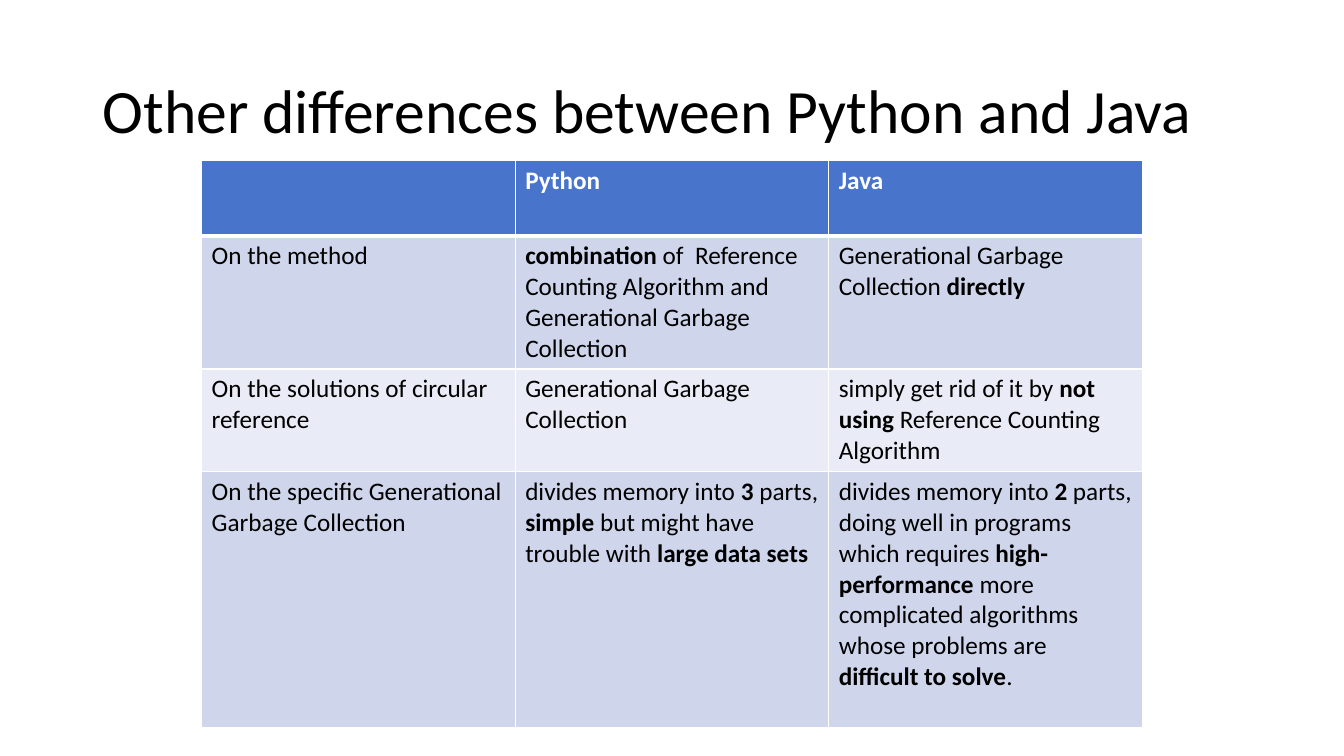
from dataclasses import dataclass

from lxml.etree import SubElement
from pptx import Presentation
from pptx.dml.color import RGBColor
from pptx.enum.text import MSO_ANCHOR
from pptx.oxml.ns import qn
from pptx.util import Inches, Pt


@dataclass(frozen=True)
class Theme:
    font: str = "Calibri"
    title_size: int = 44
    table_size: int = 18
    text: str = "000000"
    header_text: str = "FFFFFF"
    header_fill: str = "4874CB"
    band_fills: tuple = ("CFD6EC", "E9EBF6")
    border: str = "FFFFFF"


theme = Theme()


def write_text(text_frame, text, size, color, bold=False, line_spacing=None):
    for index, line in enumerate(text.split("\n")):
        paragraph = text_frame.paragraphs[0] if index == 0 else text_frame.add_paragraph()
        paragraph.line_spacing = line_spacing
        paragraph.font.size = Pt(size)
        for position, part in enumerate(line.split("**")):
            if part:
                run = paragraph.add_run()
                run.text = part
                run.font.name = theme.font
                run.font.size = Pt(size)
                run.font.bold = bold or position % 2 == 1
                run.font.color.rgb = RGBColor.from_string(color)


def add_borders(cell, color, bottom_width):
    properties = cell._tc.get_or_add_tcPr()
    for side, width in (("L", 1), ("R", 1), ("T", 1), ("B", bottom_width)):
        line = SubElement(properties, qn(f"a:ln{side}"), w=str(Pt(width)))
        fill = SubElement(line, qn("a:solidFill"))
        SubElement(fill, qn("a:srgbClr"), val=color)


presentation = Presentation()
presentation.slide_width = Inches(13.33)
presentation.slide_height = Inches(7.5)
slide = presentation.slides.add_slide(presentation.slide_layouts[6])

title = slide.shapes.add_textbox(Inches(0.92), Inches(0.4), Inches(11.5), Inches(1.45))
title.text_frame.word_wrap = True
title.text_frame.vertical_anchor = MSO_ANCHOR.MIDDLE
write_text(title.text_frame, "Other differences between Python and Java",
           size=theme.title_size, color=theme.text, line_spacing=0.9)

rows = [
    (0.75, ["", "Python", "Java"]),
    (1.32, [
        "On the method",
        "**combination** of  Reference Counting Algorithm and Generational Garbage Collection",
        "Generational Garbage Collection **directly**",
    ]),
    (1.02, [
        "On the solutions of circular reference",
        "Generational Garbage Collection",
        "simply get rid of it by **not using **Reference Counting Algorithm",
    ]),
    (2.54, [
        "On the specific Generational Garbage Collection",
        "divides memory into **3** parts, **simple** but might have trouble with **large data sets**",
        "divides memory into **2** parts, doing well in programs which requires "
        "**high-performance** more complicated algorithms whose problems are\n"
        "**difficult to solve**.",
    ]),
]

table_height = sum(height for height, texts in rows)
table = slide.shapes.add_table(
    len(rows), 3, Inches(2), Inches(1.59), Inches(9.33), Inches(table_height)).table
table.first_row = False
table.horz_banding = False
for column in table.columns:
    column.width = Inches(3.11)

for row_index, (height, texts) in enumerate(rows):
    table.rows[row_index].height = Inches(height)
    is_header = row_index == 0
    row_fill = theme.header_fill if is_header else theme.band_fills[(row_index - 1) % 2]
    for column_index, text in enumerate(texts):
        cell = table.cell(row_index, column_index)
        add_borders(cell, theme.border, bottom_width=3 if is_header else 1)
        if row_index == 1:
            cell._tc.tcPr.find(qn("a:lnT")).set("w", str(Pt(3)))
        cell.fill.solid()
        cell.fill.fore_color.rgb = RGBColor.from_string(row_fill)
        write_text(cell.text_frame, text, size=theme.table_size, bold=is_header,
                   color=theme.header_text if is_header else theme.text)

presentation.save("out.pptx")
